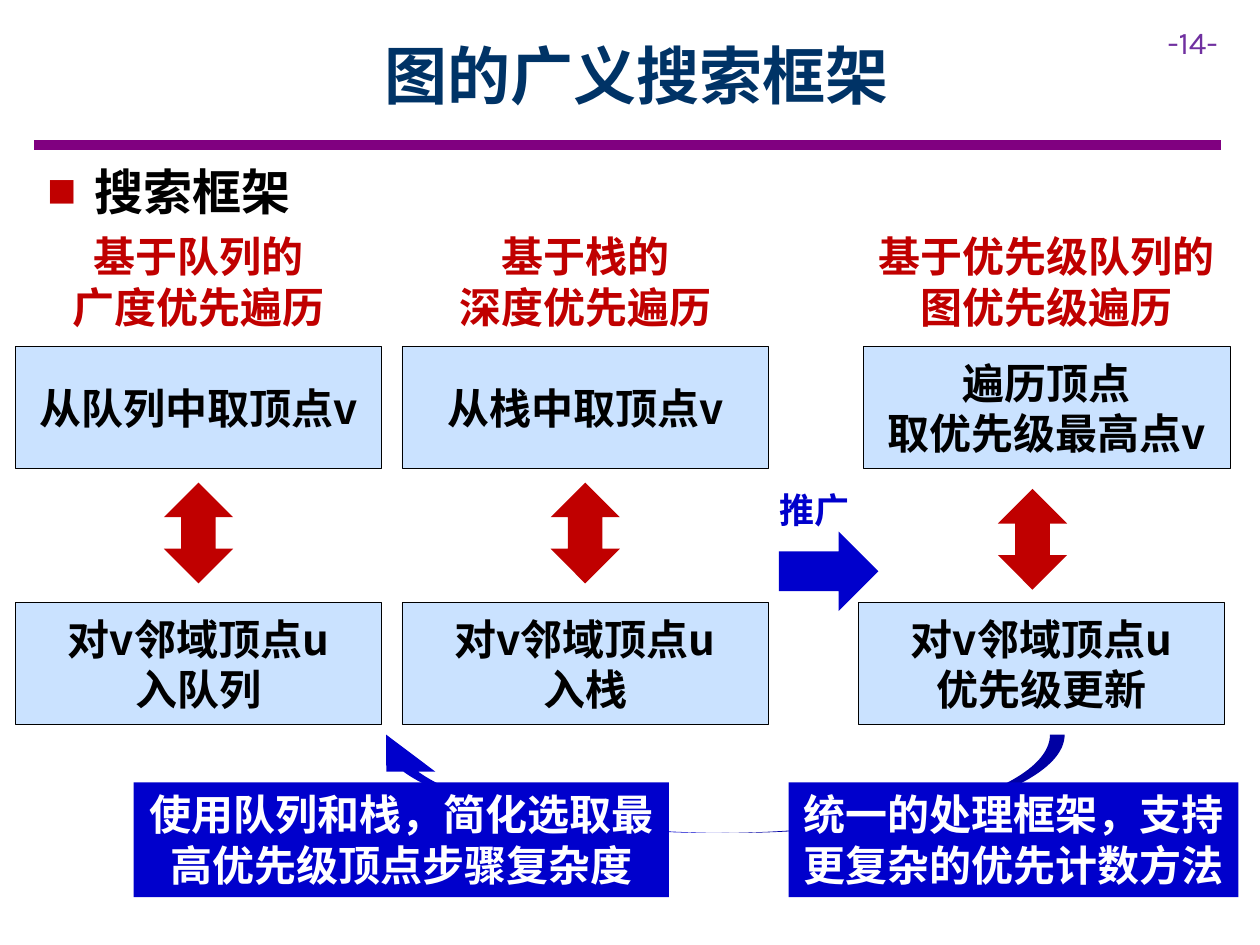
from dataclasses import dataclass

from lxml.etree import SubElement
from pptx import Presentation
from pptx.dml.color import RGBColor
from pptx.enum.shapes import MSO_CONNECTOR as Conn, MSO_SHAPE as Kind
from pptx.enum.text import MSO_ANCHOR as Anchor, MSO_AUTO_SIZE as Fit, PP_ALIGN as Align
from pptx.oxml.ns import qn
from pptx.util import Pt


@dataclass(frozen=True)
class Theme:
    font: str = "Noto Sans CJK SC"
    num_font: str = "Karla"
    navy: str = "003366"
    purple: str = "800080"
    violet: str = "7030A0"
    red: str = "C00000"
    pale: str = "CAE2FF"
    blue: str = "0000CC"
    black: str = "000000"
    white: str = "FFFFFF"
    title: int = 36
    head: int = 28
    body: int = 24
    label: int = 20
    page: int = 18


T = Theme()

TITLE, PAGE, HEAD, LABEL = "图的广义搜索框架", "-14-", "搜索框架", "推广"

# Heading, upper box, lower box; centres of upper box, arrow, lower box; arrow top
COLUMNS = [
    ("基于队列的\n广度优先遍历", "从队列中取顶点v", "对v邻域顶点u\n入队列",
     (113.4, 113.4, 113.4), 275.8),
    ("基于栈的\n深度优先遍历", "从栈中取顶点v", "对v邻域顶点u\n入栈",
     (334.4, 334.4, 334.4), 275.8),
    ("基于优先级队列的\n图优先级遍历", "遍历顶点\n取优先级最高点v", "对v邻域顶点u\n优先级更新",
     (598, 590, 595.1), 279.4),
]
NOTES = [
    ("统一的处理框架，支持更复杂的优先计数方法", 450.7, 257),
    ("使用队列和栈，简化选取最高优先级顶点步骤复杂度", 76.3, 306),
]
BOX_W, BOX_H, HEAD_W, HEAD_H = 209.5, 69.8, 226.8, 64.8
HEAD_Y, TOP_Y, LOW_Y, NOTE_Y = 128.4, 198, 344.2, 447.1
ARROW_W, ARROW_H, NOTE_H = 39.6, 57.6, 65.5

prs = Presentation()
prs.slide_width, prs.slide_height = Pt(720), Pt(540)
slide = prs.slides.add_slide(prs.slide_layouts[6])
shapes = slide.shapes


def paint(fmt, color):
    fmt.solid()
    fmt.fore_color.rgb = RGBColor.from_string(color)


def write(shape, text, size, color, align=Align.CENTER, anchor=Anchor.TOP,
          pad=3.6, font=T.font, bold=True, wrap=True):
    frame = shape.text_frame
    frame.text = text
    frame.word_wrap = wrap
    frame.auto_size = Fit.NONE
    frame.vertical_anchor = anchor
    frame.margin_left = frame.margin_right = Pt(7.2)
    frame.margin_top = frame.margin_bottom = Pt(pad)
    for para in frame.paragraphs:
        para.alignment = align
        for run in para.runs:
            run.font.size, run.font.bold, run.font.name = Pt(size), bold, font
            run.font.color.rgb = RGBColor.from_string(color)
            SubElement(run.font._element, qn("a:ea"), typeface=font)
    return frame


def label(x, y, w, h, text, size, color, **style):
    box = shapes.add_textbox(Pt(x), Pt(y), Pt(w), Pt(h))
    return write(box, text, size, color, **style)


def solid(kind, x, y, w, h, fill, line=None):
    shape = shapes.add_shape(kind, Pt(x), Pt(y), Pt(w), Pt(h))
    shape.shadow.inherit = False
    paint(shape.fill, fill)
    if line:
        paint(shape.line.fill, line)
        shape.line.width = Pt(0.25)
    else:
        shape.line.fill.background()
    return shape


def step(mid, y, text):
    box = solid(Kind.RECTANGLE, mid - BOX_W / 2, y, BOX_W, BOX_H, T.pale, T.black)
    write(box, text, T.body, T.black, anchor=Anchor.MIDDLE, pad=7.2)


def bullet(para, indent):
    props = para._p.get_or_add_pPr()
    props.set("marL", str(Pt(indent)))
    props.set("indent", str(-Pt(indent)))
    color = SubElement(props, qn("a:buClr"))
    SubElement(color, qn("a:srgbClr"), val=T.red)
    SubElement(props, qn("a:buSzPct"), val="60000")
    SubElement(props, qn("a:buFont"), typeface=T.font)
    SubElement(props, qn("a:buChar"), char="■")


# Title area
rule = shapes.add_connector(Conn.STRAIGHT, Pt(19.4), Pt(82.8), Pt(697.7), Pt(82.8))
paint(rule.line.fill, T.purple)
rule.line.width = Pt(6)
SubElement(rule._element.spPr, qn("a:effectLst"))
label(660.2, 9.4, 59.8, 28.8, PAGE, T.page, T.violet,
      align=Align.LEFT, font=T.num_font, bold=False)
label(64.8, 6.5, 598.3, 72, TITLE, T.title, T.navy, anchor=Anchor.MIDDLE)
head = label(20.2, 88.6, 249, 41, HEAD, T.head, T.black, align=Align.LEFT)
bullet(head.paragraphs[0], 27)

# Three search methods
for name, top, low, (top_mid, arrow_mid, low_mid), arrow_y in COLUMNS:
    label(top_mid - HEAD_W / 2, HEAD_Y, HEAD_W, HEAD_H, name, T.body, T.red,
          anchor=Anchor.MIDDLE, pad=7.2)
    step(top_mid, TOP_Y, top)
    solid(Kind.UP_DOWN_ARROW, arrow_mid - ARROW_W / 2, arrow_y, ARROW_W, ARROW_H, T.red)
    step(low_mid, LOW_Y, low)

# Generalisation and the way back
solid(Kind.RIGHT_ARROW, 445, 303.8, 56.9, 45.4, T.blue)
label(438.5, 275.8, 54.7, 31.7, LABEL, T.label, T.blue, align=Align.LEFT, wrap=False)
back = solid(Kind.CURVED_DOWN_ARROW, 206.6, 419.8, 401.8, 56.2, T.blue)
for i, value in enumerate((0.15, 0.5, 0.377)):
    back.adjustments[i] = value
for flip in ("flipH", "flipV"):
    back._element.spPr.xfrm.set(flip, "1")
for text, x, w in NOTES:
    note = solid(Kind.RECTANGLE, x, NOTE_Y, w, NOTE_H, T.blue)
    write(note, text, T.body, T.white)

prs.save("out.pptx")
